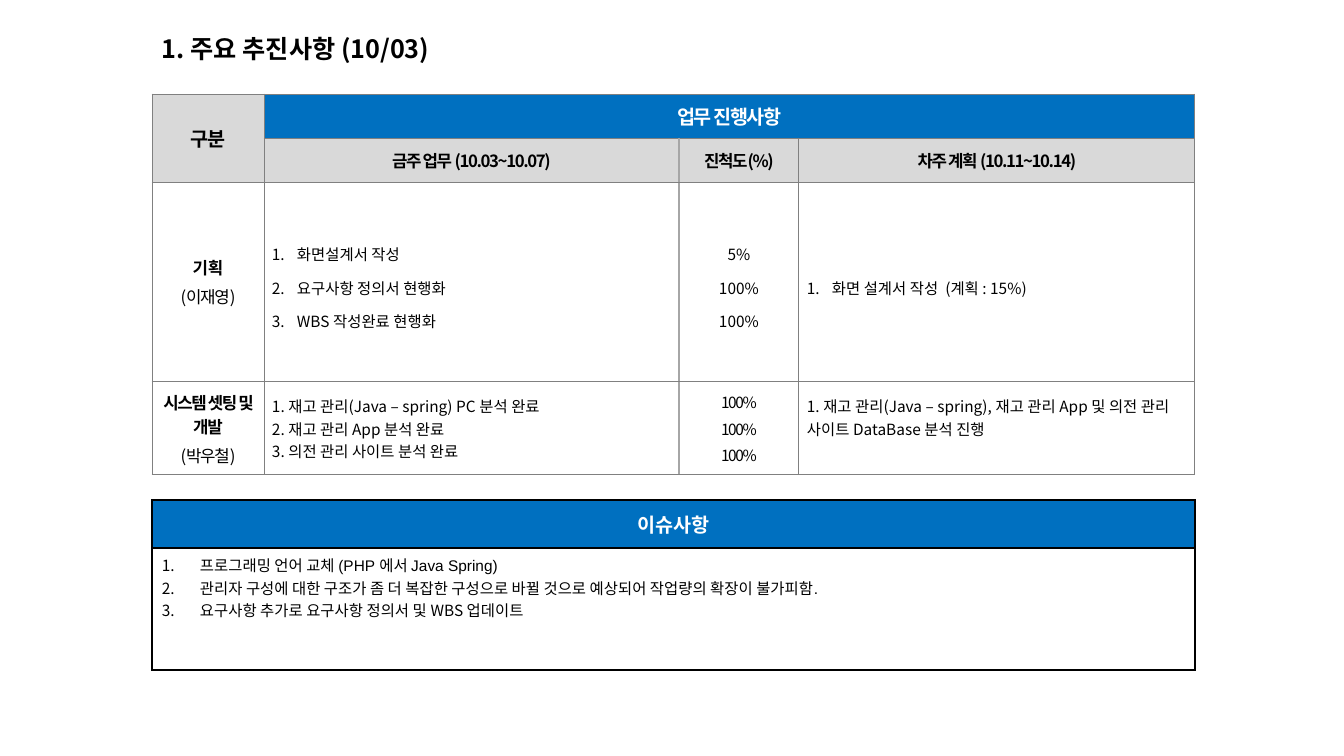
from dataclasses import dataclass, replace

from lxml import etree
from pptx import Presentation
from pptx.dml.color import RGBColor
from pptx.enum.text import MSO_ANCHOR, PP_ALIGN
from pptx.oxml.ns import qn
from pptx.slide import Slide
from pptx.table import Table, _Cell
from pptx.text.text import _Paragraph
from pptx.util import Emu, Pt

CENTER, LEFT = PP_ALIGN.CENTER, PP_ALIGN.LEFT
MIDDLE, TOP = MSO_ANCHOR.MIDDLE, MSO_ANCHOR.TOP

BLACK = RGBColor(0x00, 0x00, 0x00)
WHITE = RGBColor(0xFF, 0xFF, 0xFF)
BLUE = RGBColor(0x00, 0x70, 0xC0)
PALE_GRAY = RGBColor(0xD9, 0xD9, 0xD9)
BORDER_GRAY = RGBColor(0x80, 0x80, 0x80)
DIVIDER_GRAY = RGBColor(0xA6, 0xA6, 0xA6)

KOREAN_FONT = "Noto Sans CJK KR"
LATIN_FONT = "Arial"
EMU_PER_PIXEL = 914400 / 100.8
TABLE_LEFT = 152
COLUMN_WIDTHS = [112, 415, 120, 396]


@dataclass(frozen=True)
class TextStyle:
    """Look of one paragraph; indent in pixels, the rest in points."""
    size: int = 11
    bold: bool = False
    color: RGBColor = BLACK
    align: PP_ALIGN = LEFT
    tracking: int = 0
    before: int = 0
    line_spacing: float = 1.0
    indent: int = 0
    numbered: bool = False
    latin: str = KOREAN_FONT


@dataclass(frozen=True)
class CellContent:
    """Place, lines and look of one table cell; margins in pixels."""
    row: int
    column: int
    lines: list[tuple[str, TextStyle]]
    fill: RGBColor | None = None
    anchor: MSO_ANCHOR = MIDDLE
    side_margin: int = 8
    top_margin: int = 8
    bottom_margin: int = 8


@dataclass(frozen=True)
class Border:
    """Colour and width in points of a cell edge."""
    color: RGBColor
    width: float


TITLE = TextStyle(18, True)
HEADING = TextStyle(14, True, align=CENTER, tracking=-1, before=3)
BLUE_HEADING = replace(HEADING, color=WHITE)
SUBHEADING = replace(HEADING, size=12)
TEAM = replace(SUBHEADING, tracking=0, before=0)
OWNER = replace(SUBHEADING, bold=False)
BODY = TextStyle()
PLAN_ITEM = TextStyle(line_spacing=1.5, indent=25, numbered=True)
PLAN_RATE = TextStyle(align=CENTER, line_spacing=1.5)
SYSTEM_RATE = TextStyle(align=CENTER, tracking=-1, before=3)
ISSUE_HEADING = TextStyle(14, True, WHITE, CENTER)
ISSUE = TextStyle(indent=38, numbered=True)
ISSUE_LATIN = replace(ISSUE, latin=LATIN_FONT)

GRAY_BORDER = Border(BORDER_GRAY, 0.75)
DIVIDER = Border(DIVIDER_GRAY, 1)
BLACK_BORDER = Border(BLACK, 1)


def styled(style: TextStyle, *texts: str) -> list[tuple[str, TextStyle]]:
    """Give several lines the same style."""
    return [(text, style) for text in texts]


PROGRESS_CELLS = [
    CellContent(0, 0, styled(HEADING, "구분"), PALE_GRAY),
    CellContent(0, 1, styled(BLUE_HEADING, "업무 진행사항"), BLUE),
    CellContent(1, 1, styled(SUBHEADING, "금주 업무 (10.03~10.07)"), PALE_GRAY),
    CellContent(1, 2, styled(SUBHEADING, "진척도(%)"), PALE_GRAY),
    CellContent(1, 3, styled(SUBHEADING, "차주 계획 (10.11~10.14)"), PALE_GRAY),
    CellContent(2, 0, [("기획", TEAM), ("(이재영)", OWNER)]),
    CellContent(2, 1, styled(PLAN_ITEM, "화면설계서 작성", "요구사항 정의서 현행화",
                             "WBS 작성완료 현행화")),
    CellContent(2, 2, styled(PLAN_RATE, "5%", "100%", "100%")),
    CellContent(2, 3, styled(PLAN_ITEM, "화면 설계서 작성  (계획 : 15%)")),
    CellContent(3, 0, [("시스템 셋팅 및 개발", SUBHEADING), ("(박우철)", OWNER)]),
    CellContent(3, 1, styled(BODY, "1. 재고 관리(Java – spring) PC 분석 완료",
                             "2. 재고 관리 App 분석 완료",
                             "3. 의전 관리 사이트 분석 완료")),
    CellContent(3, 2, styled(SYSTEM_RATE, "100%", "100%", "100%")),
    CellContent(3, 3, styled(BODY, "1. 재고 관리(Java – spring), 재고 관리 App 및 "
                             "의전 관리 사이트 DataBase 분석 진행"),
                anchor=TOP, top_margin=13),
]
ISSUE_CELLS = [
    CellContent(0, 0, styled(ISSUE_HEADING, "이슈사항"), BLUE,
                side_margin=10, top_margin=5, bottom_margin=5),
    CellContent(1, 0, [
        ("프로그래밍 언어 교체 (PHP 에서 Java Spring)", ISSUE_LATIN),
        ("관리자 구성에 대한 구조가 좀 더 복잡한 구성으로 바뀔 것으로 예상되어 "
         "작업량의 확장이 불가피함.", ISSUE_LATIN),
        ("요구사항 추가로 요구사항 정의서 및 WBS 업데이트", ISSUE),
    ], WHITE, TOP, side_margin=10, top_margin=6, bottom_margin=5),
]


def px(pixels: int) -> Emu:
    """Turn pixels into EMU."""
    return Emu(round(pixels * EMU_PER_PIXEL))


def write_paragraph(paragraph: _Paragraph, text: str, style: TextStyle) -> None:
    """Fill and format one paragraph."""
    paragraph.text = text
    paragraph.alignment = style.align
    paragraph.space_before = Pt(style.before)
    paragraph.line_spacing = style.line_spacing
    font = paragraph.font
    font.size, font.bold, font.name = Pt(style.size), style.bold, style.latin
    font.color.rgb = style.color
    properties = paragraph._p.get_or_add_pPr()
    defaults = properties.find(qn("a:defRPr"))
    defaults.set("spc", str(style.tracking * 100))
    etree.SubElement(defaults, qn("a:ea"), typeface=KOREAN_FONT)
    if style.numbered:
        properties.set("marL", str(px(style.indent)))
        properties.set("indent", str(-px(style.indent)))
        bullet = etree.Element(qn("a:buAutoNum"), type="arabicPeriod")
        defaults.addprevious(bullet)


def set_border(cell: _Cell, side: str, border: Border) -> None:
    """Append one edge (L, R, T or B) to a cell that has no fill yet."""
    line = etree.SubElement(cell._tc.get_or_add_tcPr(), qn(f"a:ln{side}"),
                            w=str(Pt(border.width)))
    fill = etree.SubElement(line, qn("a:solidFill"))
    etree.SubElement(fill, qn("a:srgbClr"), val=str(border.color))


def fill_cell(table: Table, content: CellContent) -> None:
    """Write a cell's text, margins and fill."""
    cell = table.cell(content.row, content.column)
    cell.vertical_anchor = content.anchor
    cell.margin_left = cell.margin_right = px(content.side_margin)
    cell.margin_top = px(content.top_margin)
    cell.margin_bottom = px(content.bottom_margin)
    if content.fill is not None:
        cell.fill.solid()
        cell.fill.fore_color.rgb = content.fill
    for index, (text, style) in enumerate(content.lines):
        frame = cell.text_frame
        paragraph = frame.add_paragraph() if index else frame.paragraphs[0]
        write_paragraph(paragraph, text, style)


def add_grid(slide: Slide, top: int, widths: list[int], heights: list[int],
             border: Border, contents: list[CellContent],
             divider_column: int | None = None) -> Table:
    """Add a bordered table; the divider lies right of its column."""
    table = slide.shapes.add_table(
        len(heights), len(widths), px(TABLE_LEFT), px(top),
        px(sum(widths)), px(sum(heights))).table
    table.first_row = table.horz_banding = False
    for column, width in zip(table.columns, widths):
        column.width = px(width)
    for row, height in zip(table.rows, heights):
        row.height = px(height)
    for row_index in range(len(heights)):
        for column_index in range(len(widths)):
            cell = table.cell(row_index, column_index)
            divided = divider_column is not None and row_index > 0
            for side in "LRTB":
                edge_column = {"L": column_index - 1, "R": column_index}.get(side)
                on_divider = divided and edge_column == divider_column
                set_border(cell, side, DIVIDER if on_divider else border)
            cell.fill.background()
    for content in contents:
        fill_cell(table, content)
    return table


presentation = Presentation()
presentation.slide_width, presentation.slide_height = px(1344), px(756)
slide = presentation.slides.add_slide(presentation.slide_layouts[6])

title_box = slide.shapes.add_textbox(px(TABLE_LEFT), px(25), px(1033), px(46))
title_box.text_frame.word_wrap = True
title_box.text_frame.vertical_anchor = MIDDLE
write_paragraph(title_box.text_frame.paragraphs[0], "1. 주요 추진사항 (10/03)", TITLE)

progress = add_grid(slide, 94, COLUMN_WIDTHS, [44, 44, 200, 93],
                    GRAY_BORDER, PROGRESS_CELLS, divider_column=1)
progress.cell(0, 0).merge(progress.cell(1, 0))
progress.cell(0, 1).merge(progress.cell(0, 3))
add_grid(slide, 500, [sum(COLUMN_WIDTHS)], [48, 122], BLACK_BORDER, ISSUE_CELLS)

presentation.save("out.pptx")
